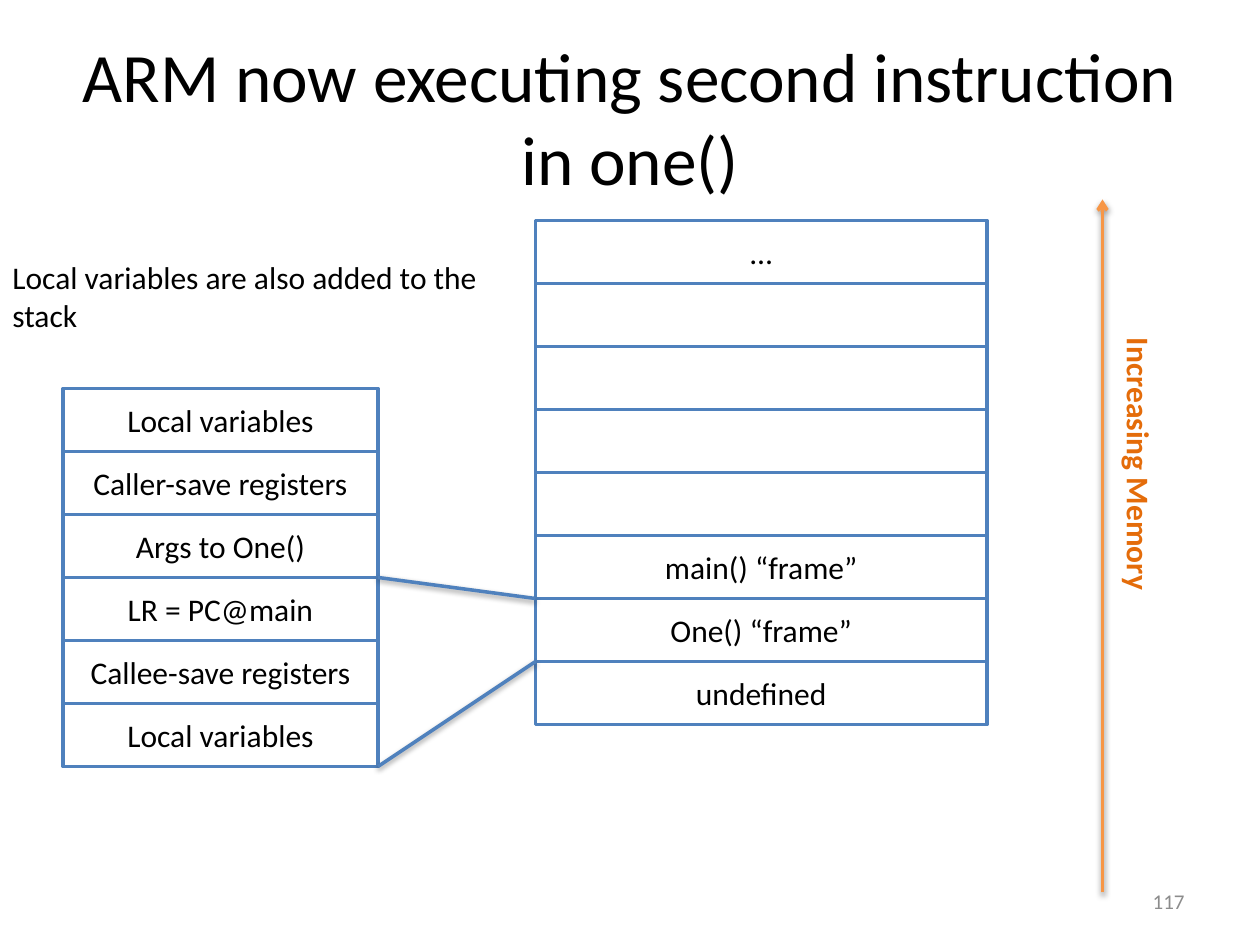
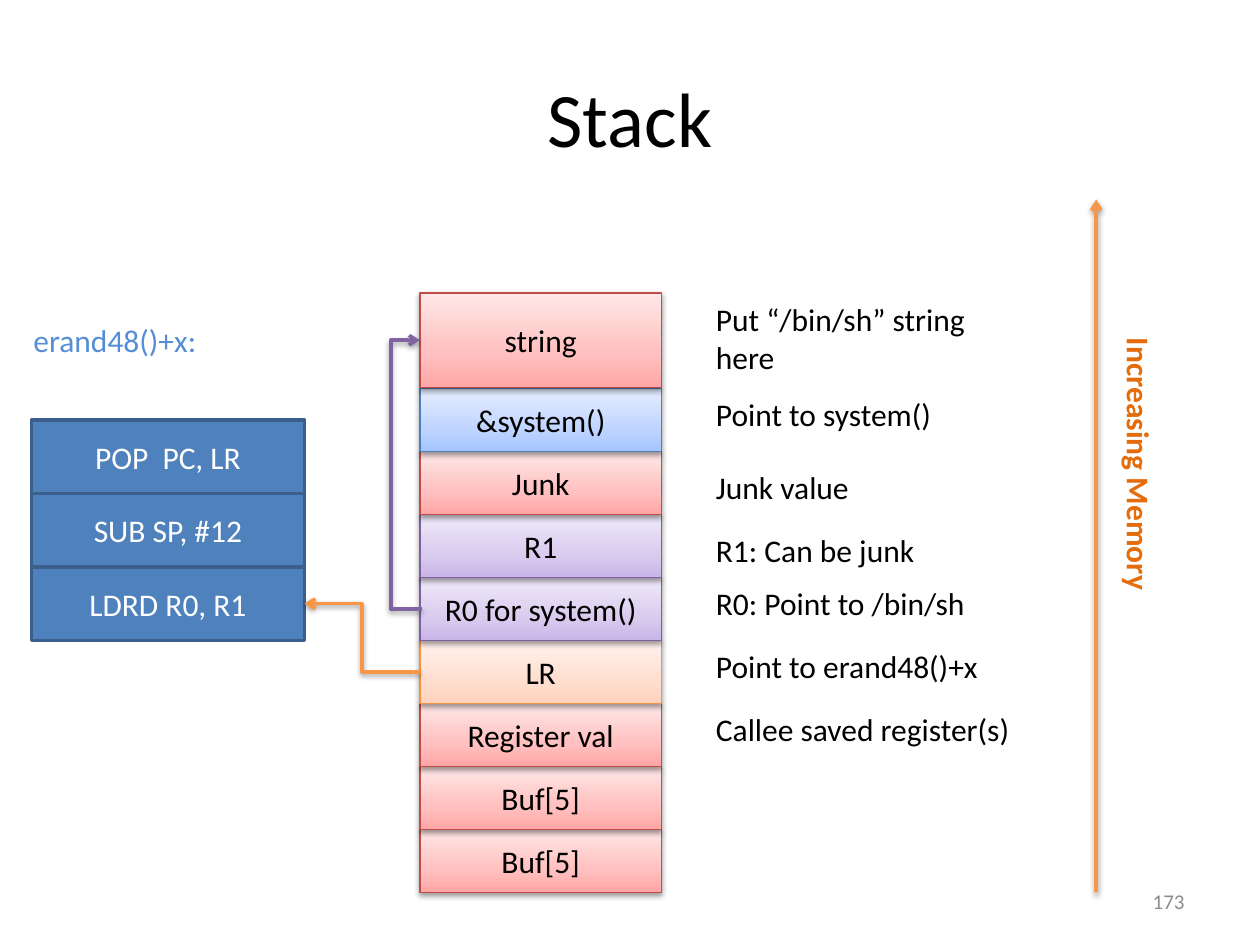
from pptx import Presentation
from pptx.dml.color import RGBColor
from pptx.enum.shapes import MSO_CONNECTOR, MSO_SHAPE
from pptx.enum.text import MSO_ANCHOR, MSO_AUTO_SIZE, PP_ALIGN
from pptx.oxml import parse_xml
from pptx.oxml.ns import nsdecls, qn
from pptx.util import Pt

PX = 7620  # 120 px to the inch
INK = {"black": "000000", "white": "FFFFFF", "blue": "4F81BD", "navy": "3A5F8C",
       "sky": "558ED5", "amber": "F79646", "rust": "E46C0A", "plum": "8064A2",
       "gray": "8C8C8C"}

# Cell looks: fill (one colour or gradient stops), line colour, line width, text
LOOKS = {
    "plain": (INK["white"], INK["blue"], 2, "black"),
    "solid": (INK["blue"], INK["navy"], 2, "white"),
    "red": (("FFA6A5", "FFC0BF", "FFE7E7"), "BF4C48", 0.75, "black"),
    "blue": (("A4C4FF", "BFD4FF", "E6EEFF"), "4B7EBC", 0.75, "black"),
    "plum": (("C9B5E8", "D8CBEE", "F0EAF9"), "7D60A0", 0.75, "black"),
    "amber": (("FFD2BD", "FFDED0", "FFF2ED"), "F69240", 0.75, "black"),
}


def rgb(code):
    return RGBColor.from_string(code)


def emu(*sizes):
    return [size * PX for size in sizes]


def write(frame, text, ink="black", size=18, align=PP_ALIGN.LEFT,
          anchor=MSO_ANCHOR.TOP, bold=False):
    form = {"word_wrap": True, "auto_size": MSO_AUTO_SIZE.NONE,
            "vertical_anchor": anchor, "text": text}
    for key, value in form.items():
        setattr(frame, key, value)
    para = frame.paragraphs[0]
    para.alignment = align
    for key, value in {"name": "Calibri", "size": Pt(size), "bold": bold}.items():
        setattr(para.font, key, value)
    para.font.color.rgb = rgb(INK[ink])


def label(slide, box, text, **form):
    note = slide.shapes.add_textbox(*emu(*box))
    write(note.text_frame, text, **form)
    return note


def shade(shape):
    shape.element.spPr.append(parse_xml(
        f'<a:effectLst {nsdecls("a")}><a:outerShdw blurRad="40000" dist="20000" '
        'dir="5400000" rotWithShape="0"><a:srgbClr val="000000">'
        '<a:alpha val="38000"/></a:srgbClr></a:outerShdw></a:effectLst>'))


def blend(shape, inks):
    stops = "".join(f'<a:gs pos="{pos}"><a:srgbClr val="{ink}"/></a:gs>'
                    for pos, ink in zip((0, 35000, 100000), inks))
    shape.element.spPr.insert(2, parse_xml(
        f'<a:gradFill {nsdecls("a")} rotWithShape="1"><a:gsLst>{stops}</a:gsLst>'
        '<a:lin ang="16200000" scaled="0"/></a:gradFill>'))


def cell(slide, box, text, look):
    fill, edge, width, ink = LOOKS[look]
    rect = slide.shapes.add_shape(MSO_SHAPE.RECTANGLE, *emu(*box))
    rect.line.color.rgb = rgb(edge)
    rect.line.width = Pt(width)
    if isinstance(fill, str):
        rect.shadow.inherit = False
        rect.fill.solid()
        rect.fill.fore_color.rgb = rgb(fill)
    else:
        blend(rect, fill)
        shade(rect)
    if text:
        write(rect.text_frame, text, ink, align=PP_ALIGN.CENTER,
              anchor=MSO_ANCHOR.MIDDLE)
    return rect


def pile(slide, box, rows):
    """Stack equal cells from the bottom up; rows are listed from the top."""
    left, top, width, height = box
    cells = [cell(slide, (left, top + i * height, width, height), *row)
             for i, row in reversed(list(enumerate(rows)))]
    return cells[::-1]


def link(slide, start, end, ink, head=True, kind=MSO_CONNECTOR.STRAIGHT):
    line = slide.shapes.add_connector(kind, *emu(*start, *end))
    line.line.color.rgb = rgb(INK[ink])
    line.line.width = Pt(2)
    if head:
        line.element.spPr.find(qn("a:ln")).append(
            parse_xml(f'<a:tailEnd {nsdecls("a")} type="arrow"/>'))
    shade(line)
    return line


def bend(line, ratio):
    guides = line.element.spPr.find(qn("a:prstGeom")).find(qn("a:avLst"))
    guides.append(parse_xml(f'<a:gd {nsdecls("a")} name="adj1" '
                            f'fmla="val {ratio * 100000}"/>'))


def base(deck, title, number, axis, size=44):
    """Start a slide with its title, number and memory axis."""
    slide = deck.slides.add_slide(deck.slide_layouts[5])
    head = slide.shapes.title
    spots = zip(("left", "top", "width", "height"), emu(60, 36, 1080, 150))
    for key, value in spots:
        setattr(head, key, value)
    write(head.text_frame, title, size=size, align=PP_ALIGN.CENTER,
          anchor=MSO_ANCHOR.MIDDLE)
    label(slide, (860, 834, 280, 48), number, ink="gray", size=12,
          align=PP_ALIGN.RIGHT, anchor=MSO_ANCHOR.MIDDLE)
    link(slide, (axis, 850), (axis, 190), "amber")
    label(slide, (905, 466, 360, 48), "Increasing Memory", ink="rust",
          bold=True).rotation = 90
    return slide


def frames(deck):
    slide = base(deck, "ARM now executing second instruction in one()",
                 "117", 1050, 39.6)
    label(slide, (0, 240, 490, 85), "Local variables are also added to the stack")

    # Whole stack, and the frame of One() in detail
    left, top, width, row = stack = (510, 210, 430, 60)
    names = ["…", "", "", "", "", "main() “frame”", "One() “frame”", "undefined"]
    pile(slide, stack, [(name, "plain") for name in names])
    x, y, wide, _ = zoom = (60, 370, 300, row)
    parts = ["Local variables", "Caller-save registers", "Args to One()",
             "LR = PC@main", "Callee-save registers", "Local variables"]
    pile(slide, zoom, [(part, "plain") for part in parts])

    # Zoom lines
    for near, far in ((6, 3), (7, 6)):
        link(slide, (left, top + near * row), (x + wide, y + far * row),
             "blue", head=False)


def exploit(deck):
    slide = base(deck, "Stack", "173", 1044)

    # Code gadget
    label(slide, (20, 300, 320, 48), "erand48()+x:", ink="sky")
    codes = ["POP  PC, LR", "SUB SP, #12", "LDRD R0, R1"]
    code = pile(slide, (30, 400, 260, 70), [(text, "solid") for text in codes])

    # Stack cells
    left, top, width, row = stack = (400, 370, 230, 60)
    rows = [("&system()", "blue"), ("Junk", "red"), ("R1", "plum"),
            ("R0 for system()", "plum"), ("LR", "amber"),
            ("Register val", "red"), ("Buf[5]", "red"), ("Buf[5]", "red")]
    cells = pile(slide, stack, rows)
    cell(slide, (left, 279, width, 90), "string", "red")

    # Pointers
    jump = link(slide, (left, 640), (290, 575), "amber", kind=MSO_CONNECTOR.ELBOW)
    jump.begin_connect(cells[4], 1)
    jump.end_connect(code[2], 3)
    loop = link(slide, (left + 2, 580), (left, 324), "plum",
                kind=MSO_CONNECTOR.ELBOW)
    bend(loop, 15)

    # Notes beside the cells
    label(slide, (670, 280, 320, 85), "Put “/bin/sh” string here")
    notes = {370: "Point to system()", 440: "Junk value", 500: "R1: Can be junk",
             550: "R0: Point to /bin/sh", 610: "Point to erand48()+x",
             670: "Callee saved register(s)"}
    for y, text in notes.items():
        label(slide, (670, y, 320, 48), text)


def main():
    deck = Presentation()
    deck.slide_width, deck.slide_height = emu(1200, 900)
    frames(deck)
    exploit(deck)
    deck.save("out.pptx")


if __name__ == "__main__":
    main()
